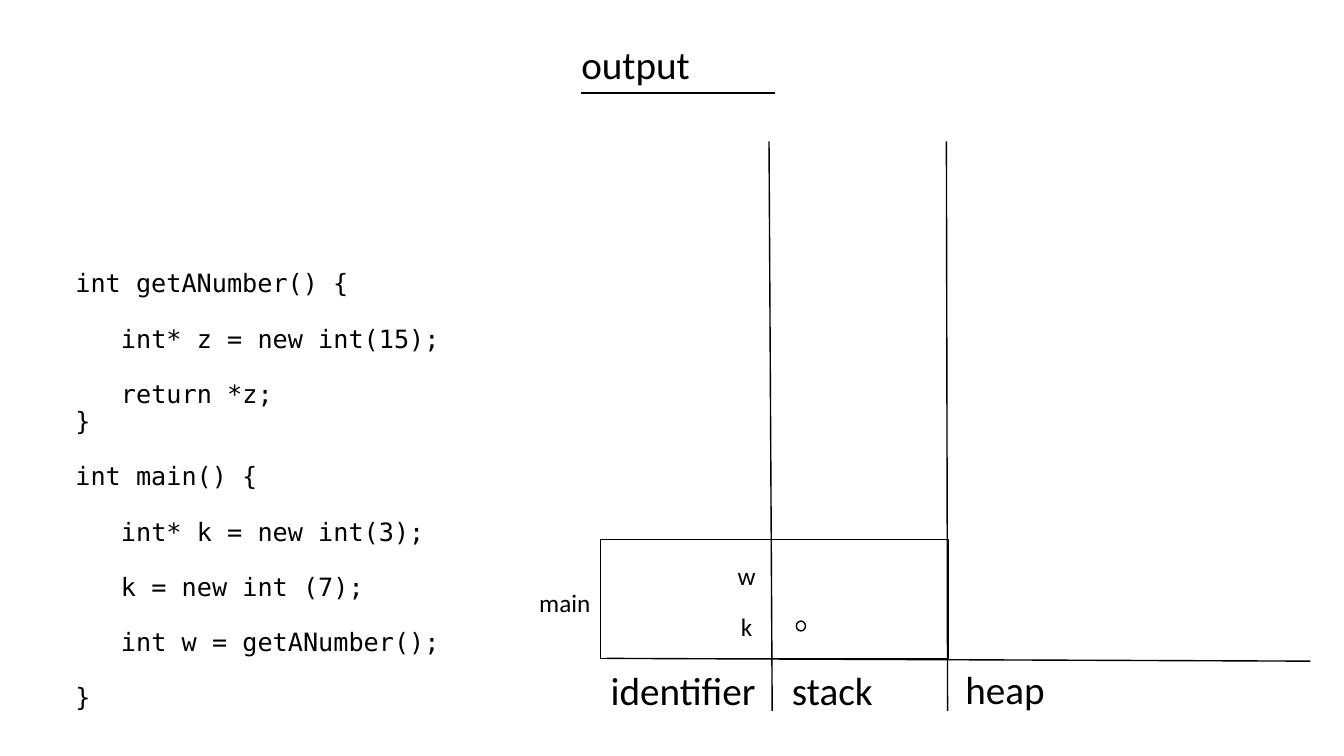
from pptx import Presentation
from pptx.dml.color import RGBColor
from pptx.enum.shapes import MSO_CONNECTOR, MSO_SHAPE
from pptx.enum.text import MSO_AUTO_SIZE
from pptx.oxml.ns import qn
from pptx.util import Cm, Pt
from lxml import etree

STRAIGHT = MSO_CONNECTOR.STRAIGHT
RECTANGLE = MSO_SHAPE.RECTANGLE
OVAL = MSO_SHAPE.OVAL
GROW = MSO_AUTO_SIZE.SHAPE_TO_FIT_TEXT
BLACK = "000000"
WHITE = "FFFFFF"


def color(value):
    return RGBColor.from_string(value)


def write(para, text, size=18, font="Calibri", indent=0, before=0, spacing=1.0):
    span = para.add_run()
    span.text = text
    span.font.size = Pt(size)
    span.font.name = font
    span.font.color.rgb = color(BLACK)
    para.space_before = Pt(before)
    para.line_spacing = spacing
    para._p.get_or_add_pPr().set("marL", str(Cm(indent)))


deck = Presentation()
deck.slide_width = Cm(33.87)
deck.slide_height = Cm(19.05)
page = deck.slides.add_slide(deck.slide_layouts[6])

labels = [
    ("output", 14.4, 0.9, 3.28, 1.45, 28),
    ("identifier", 15.14, 16.66, 4.22, 1.45, 28),
    ("stack", 19.71, 16.66, 2.57, 1.45, 28),
    ("heap", 24.08, 16.64, 2.54, 1.45, 28),
    ("w", 18.34, 14.0, 0.97, 1.02, 18),
    ("k", 18.42, 15.27, 0.81, 1.02, 18),
    ("main", 13.34, 14.68, 1.83, 1.02, 18),
]
for text, left, top, width, height, size in labels:
    box = page.shapes.add_textbox(Cm(left), Cm(top), Cm(width), Cm(height))
    box.text_frame.word_wrap = False
    box.text_frame.auto_size = GROW
    write(box.text_frame.paragraphs[0], text, size=size)

rules = [
    (14.63, 2.34, 19.53, 2.34),
    (15.29, 16.59, 33.02, 16.66),
    (19.46, 17.91, 19.38, 3.56),
    (23.88, 17.91, 23.85, 3.56),
]
for x1, y1, x2, y2 in rules:
    rule = page.shapes.add_connector(STRAIGHT, Cm(x1), Cm(y1), Cm(x2), Cm(y2))
    rule.line.color.rgb = color(BLACK)
    rule.line.width = Pt(1)
    etree.SubElement(rule._element.spPr, qn("a:effectLst"))

frames = [
    (RECTANGLE, 15.14, 13.59, 8.76, 3.0, None),
    (OVAL, 20.07, 15.65, 0.23, 0.25, WHITE),
]
for kind, left, top, width, height, fill in frames:
    shape = page.shapes.add_shape(kind, Cm(left), Cm(top), Cm(width), Cm(height))
    shape.shadow.inherit = False
    shape.line.color.rgb = color(BLACK)
    shape.line.width = Pt(1)
    if fill:
        shape.fill.solid()
        shape.fill.fore_color.rgb = color(fill)
    else:
        shape.fill.background()

STEP = 20
code_lines = [
    ("int getANumber() {", 0, 0),
    ("int* z = new int(15);", 1.15, STEP),
    ("return *z;", 1.15, STEP),
    ("}", 0, 0),
    ("int main() {", 0, STEP),
    ("int* k = new int(3);", 1.15, STEP),
    ("k = new int (7);", 1.15, STEP),
    ("int w = getANumber();", 1.15, STEP),
    ("}", 0, STEP),
]
code = page.shapes.add_textbox(Cm(1.65), Cm(6.71), Cm(13.49), Cm(12.09)).text_frame
code.word_wrap = True
for number, (text, indent, before) in enumerate(code_lines):
    para = code.add_paragraph() if number else code.paragraphs[0]
    write(para, text, font="DejaVu Sans Mono", indent=indent, before=before, spacing=0.9)

deck.save("out.pptx")
